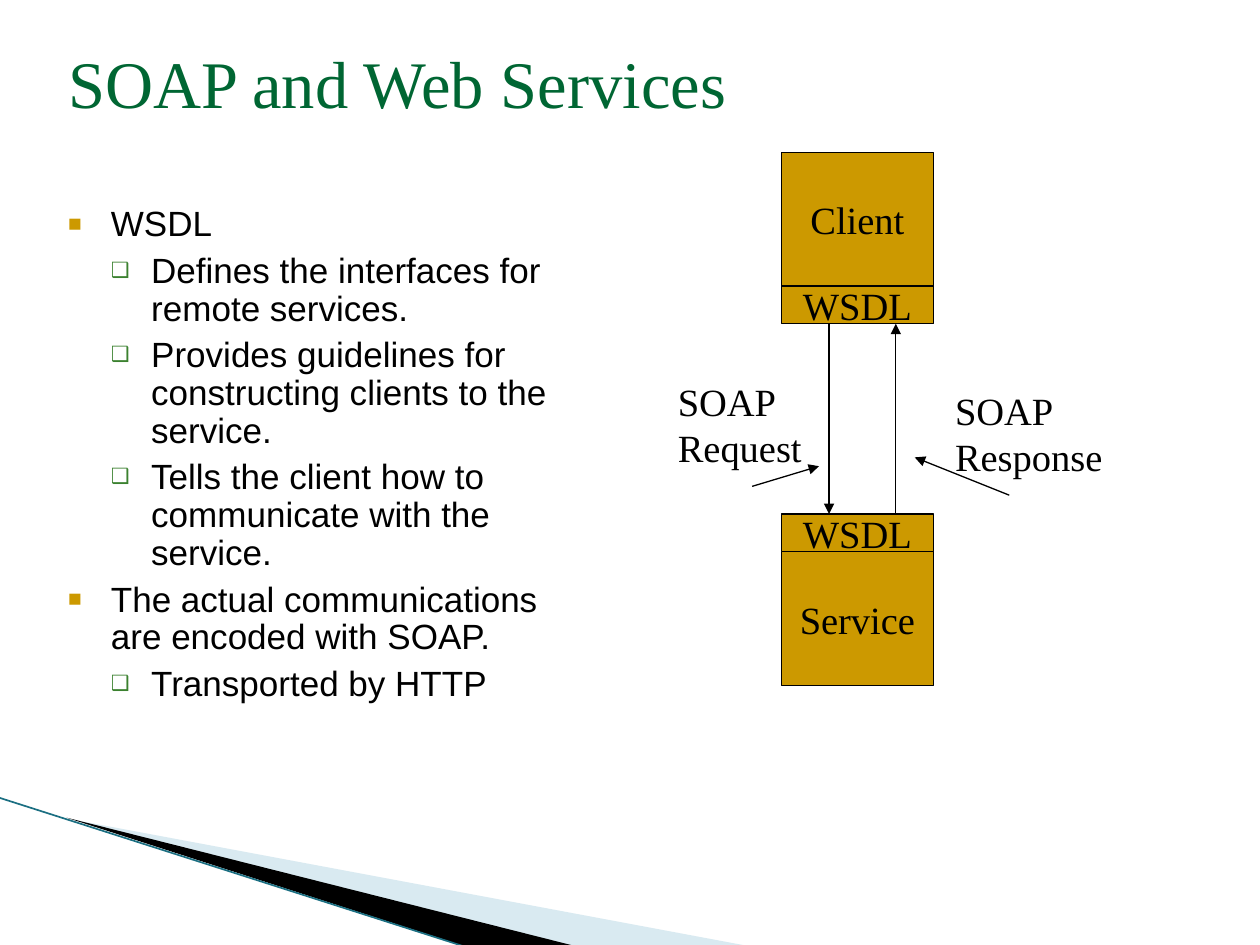
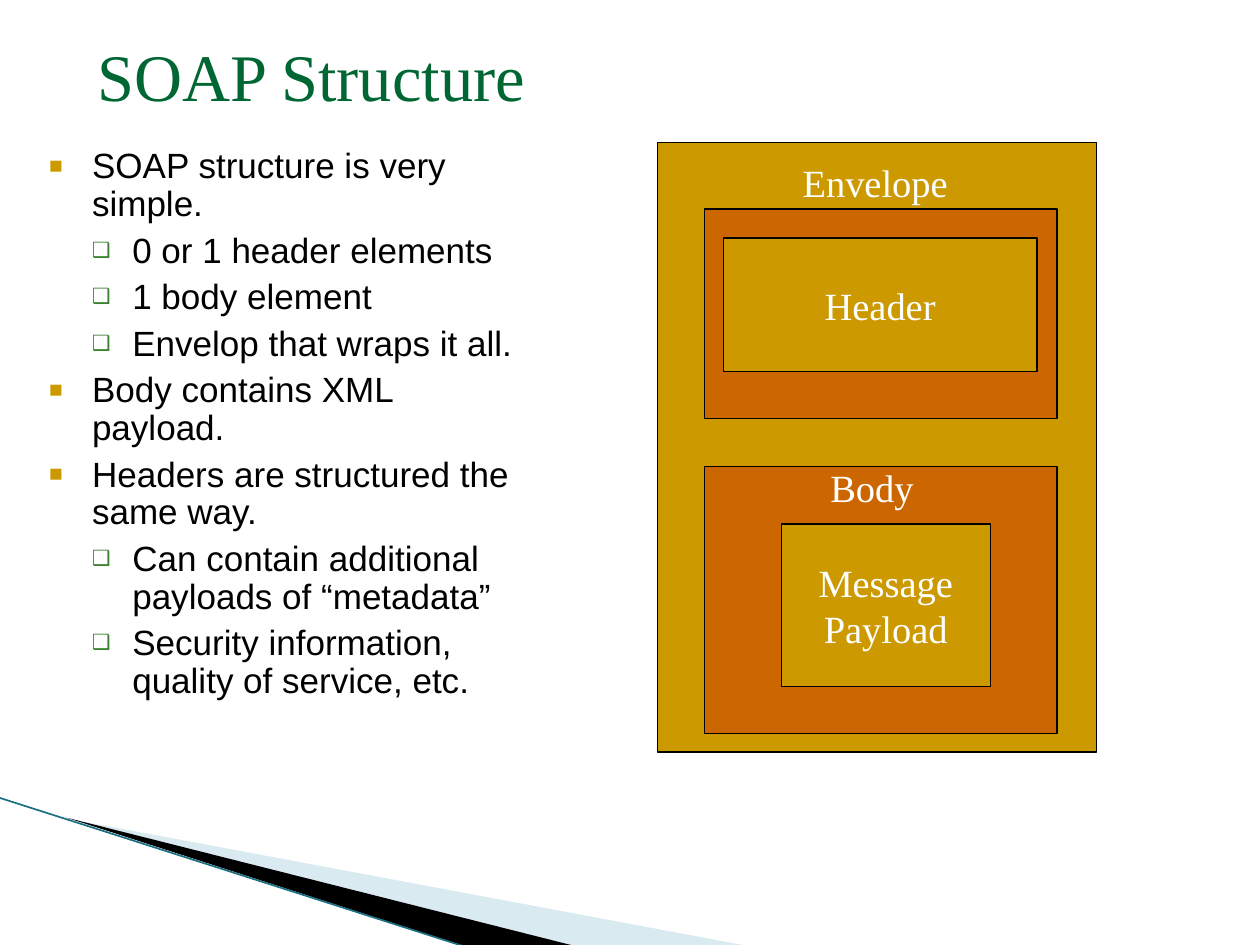
from lxml import etree
from pptx import Presentation
from pptx.dml.color import RGBColor
from pptx.enum import shapes, text
from pptx.oxml import ns
from pptx.util import Inches, Pt

GREEN = RGBColor(0x00, 0x66, 0x33)
BULLET_GREEN = RGBColor(0x3B, 0x81, 0x2F)
GOLD = RGBColor(0xCC, 0x99, 0x00)
ORANGE = RGBColor(0xCC, 0x66, 0x00)
BLACK = RGBColor(0x00, 0x00, 0x00)
WHITE = RGBColor(0xFF, 0xFF, 0xFF)
PALE_BLUE = RGBColor(0xA0, 0xCB, 0xDC)
EDGE_TEAL = RGBColor(0x1B, 0x6F, 0x82)
SERIF, SANS = "Times New Roman", "Arial"
LINE_WIDTH = 0.74
SIDE_INSET, TOP_INSET = 0.09, 0.05

# Per list level: left margin, hanging indent, bullet, its colour and size in percent
LEVELS = [(0.34, -0.34, "■", GOLD, 65), (0.66, -0.32, "❑", BULLET_GREEN, 60)]

# Corner wedges: outline points, colour, opacity in percent
WEDGES = [
    ([(0.55, 6.5), (5.95, 7.51), (4.56, 7.51)], PALE_BLUE, 40),
    ([(0.53, 6.49), (4.57, 7.51), (3.72, 7.52)], BLACK, 100),
]
EDGE = ((-0.01, 6.33), (3.71, 7.52))

# Client and service stacks: the two WSDL strips face each other
STACK_LEFT, STACK_WIDTH, BLOCK, STRIP = 6.2, 1.21, 1.06, 0.3
CLIENT_TOP, SERVICE_STRIP_TOP = 1.21, 4.08
CLIENT_STRIP_TOP = CLIENT_TOP + BLOCK
CLIENT_BOTTOM = CLIENT_STRIP_TOP + STRIP

# Boxes: text, left, top, width, height, fill; labels: the same without fill
SLIDES = [
    {
        "title": ("SOAP and Web Services", (0.45, 0.28, 8.16, 1.13)),
        "body_at": (0.45, 1.59, 4, 4.49),
        "body": [
            (0, "WSDL"),
            (1, "Defines the interfaces for remote services."),
            (1, "Provides guidelines for constructing clients to the service."),
            (1, "Tells the client how to communicate with the service."),
            (0, "The actual communications are encoded with SOAP."),
            (1, "Transported by HTTP"),
        ],
        "ink": BLACK,
        "boxes": [
            (name, STACK_LEFT, top, STACK_WIDTH, height, GOLD)
            for name, top, height in [
                ("Client", CLIENT_TOP, BLOCK),
                ("Service", SERVICE_STRIP_TOP + STRIP, BLOCK),
                ("WSDL", CLIENT_STRIP_TOP, STRIP),
                ("WSDL", SERVICE_STRIP_TOP, STRIP),
            ]
        ],
        "labels": [
            ("SOAP\nRequest", 5.29, 2.95, 1.17, 0.83),
            ("SOAP\nResponse", 7.49, 3.02, 1.36, 0.83),
        ],
        "arrows": [
            ((6.58, CLIENT_BOTTOM), (6.58, SERVICE_STRIP_TOP)),
            ((7.11, SERVICE_STRIP_TOP), (7.11, CLIENT_BOTTOM)),
            ((5.97, 3.86), (6.5, 3.7)),
            ((8.01, 3.93), (7.26, 3.63)),
        ],
    },
    {
        "title": ("SOAP Structure", (0.68, 0.23, 7.71, 1.13)),
        "body_at": (0.3, 1.13, 4, 4.49),
        "body": [
            (0, "SOAP structure is very simple."),
            (1, "0 or 1 header elements"),
            (1, "1 body element"),
            (1, "Envelop that wraps it all."),
            (0, "Body contains XML payload."),
            (0, "Headers are structured the same way."),
            (1, "Can contain additional payloads of “metadata”"),
            (1, "Security information, quality of service, etc."),
        ],
        "ink": WHITE,
        "boxes": [
            ("", 5.22, 1.13, 3.48, 4.84, GOLD),
            ("", 5.59, 3.7, 2.8, 2.12, ORANGE),
            ("", 5.59, 1.66, 2.8, 1.66, ORANGE),
            ("Message\nPayload", 6.2, 4.16, 1.66, 1.29, GOLD),
            ("Header", 5.74, 1.89, 2.49, 1.06, GOLD),
        ],
        "labels": [
            ("Envelope", 6.28, 1.21, 1.35, 0.46),
            ("Body", 6.5, 3.63, 0.85, 0.46),
        ],
        "arrows": [],
    },
]


def inches(values):
    return [Inches(value) for value in values]


def add_xml(parent, tag, **attributes):
    return etree.SubElement(parent, ns.qn(tag), attributes)


def set_font(paragraph, name, size, color):
    paragraph.font.name = name
    paragraph.font.size = Pt(size)
    paragraph.font.color.rgb = color


def set_insets(frame):
    frame.margin_left = frame.margin_right = Inches(SIDE_INSET)
    frame.margin_top = frame.margin_bottom = Inches(TOP_INSET)


def place(shape, at):
    shape.left, shape.top, shape.width, shape.height = inches(at)
    frame = shape.text_frame
    frame.auto_size = text.MSO_AUTO_SIZE.NONE
    frame.vertical_anchor = text.MSO_ANCHOR.TOP
    set_insets(frame)
    return frame


def add_line(slide, start, end, color, width, arrow=False):
    line = slide.shapes.add_connector(
        shapes.MSO_CONNECTOR.STRAIGHT, *inches(start + end))
    line.line.color.rgb = color
    line.line.width = Pt(width)
    if arrow:
        add_xml(line.line._get_or_add_ln(), "a:tailEnd", type="triangle")
    add_xml(line._element.spPr, "a:effectLst")
    return line


def add_corner(slide, layout):
    """Draw the corner wedges once and move them onto the shared layout."""
    parts = []
    for points, color, opacity in WEDGES:
        start, *others = [tuple(inches(point)) for point in points]
        builder = slide.shapes.build_freeform(*start)
        builder.add_line_segments(others, close=True)
        wedge = builder.convert_to_shape()
        wedge.shadow.inherit = False
        wedge.fill.solid()
        wedge.fill.fore_color.rgb = color
        wedge.line.fill.background()
        if opacity < 100:
            fill_color = wedge._element.spPr.find(".//" + ns.qn("a:srgbClr"))
            add_xml(fill_color, "a:alpha", val=str(opacity * 1000))
        parts.append(wedge)
    parts.append(add_line(slide, *EDGE, EDGE_TEAL, 0.95))
    tree = layout.shapes.element
    for position, part in enumerate(parts):
        part._element.xpath(".//p:cNvPr")[0].set("id", str(100 + position))
        tree.insert(2 + position, part._element)


def add_title(slide, title, at):
    frame = place(slide.shapes.title, at)
    frame.text = title
    paragraph = frame.paragraphs[0]
    paragraph.alignment = text.PP_ALIGN.LEFT
    set_font(paragraph, SERIF, 38, GREEN)


def add_body(slide, items, at):
    frame = place(slide.placeholders[1], at)
    frame.text = "\n".join(item for _, item in items)
    for paragraph, (level, _) in zip(frame.paragraphs, items):
        margin, indent, bullet, color, percent = LEVELS[level]
        paragraph.level = level
        properties = paragraph._p.get_or_add_pPr()
        properties.set("marL", str(Inches(margin)))
        properties.set("indent", str(Inches(indent)))
        add_xml(add_xml(properties, "a:buClr"), "a:srgbClr", val=str(color))
        add_xml(properties, "a:buSzPct", val=str(percent * 1000))
        add_xml(properties, "a:buChar", char=bullet)
        paragraph.line_spacing = 0.9
        paragraph.space_before = Pt(5)
        set_font(paragraph, SANS, 20, BLACK)


def write(shape, words, color, alignment):
    frame = shape.text_frame
    set_insets(frame)
    frame.word_wrap = False
    frame.text = words
    for paragraph in frame.paragraphs:
        paragraph.alignment = alignment
        set_font(paragraph, SERIF, 22, color)


def add_box(slide, words, *at, fill, ink):
    box = slide.shapes.add_shape(shapes.MSO_SHAPE.RECTANGLE, *inches(at))
    box.shadow.inherit = False
    box.fill.solid()
    box.fill.fore_color.rgb = fill
    box.line.color.rgb = BLACK
    box.line.width = Pt(LINE_WIDTH)
    if words:
        box.text_frame.vertical_anchor = text.MSO_ANCHOR.MIDDLE
        write(box, words, ink, text.PP_ALIGN.CENTER)


def add_label(slide, words, *at, ink):
    label = slide.shapes.add_textbox(*inches(at))
    write(label, words, ink, text.PP_ALIGN.LEFT)
    # Growing with its text keeps an unwrapped label on its own lines
    label.text_frame.auto_size = text.MSO_AUTO_SIZE.SHAPE_TO_FIT_TEXT


presentation = Presentation()
presentation.slide_width, presentation.slide_height = Inches(10), Inches(7.5)
layout = presentation.slide_layouts[1]

for number, content in enumerate(SLIDES):
    slide = presentation.slides.add_slide(layout)
    if number == 0:
        add_corner(slide, layout)
    add_title(slide, *content["title"])
    add_body(slide, content["body"], content["body_at"])
    for *box, fill in content["boxes"]:
        add_box(slide, *box, fill=fill, ink=content["ink"])
    for label in content["labels"]:
        add_label(slide, *label, ink=content["ink"])
    for start, end in content["arrows"]:
        add_line(slide, start, end, BLACK, LINE_WIDTH, arrow=True)

presentation.save("out.pptx")
